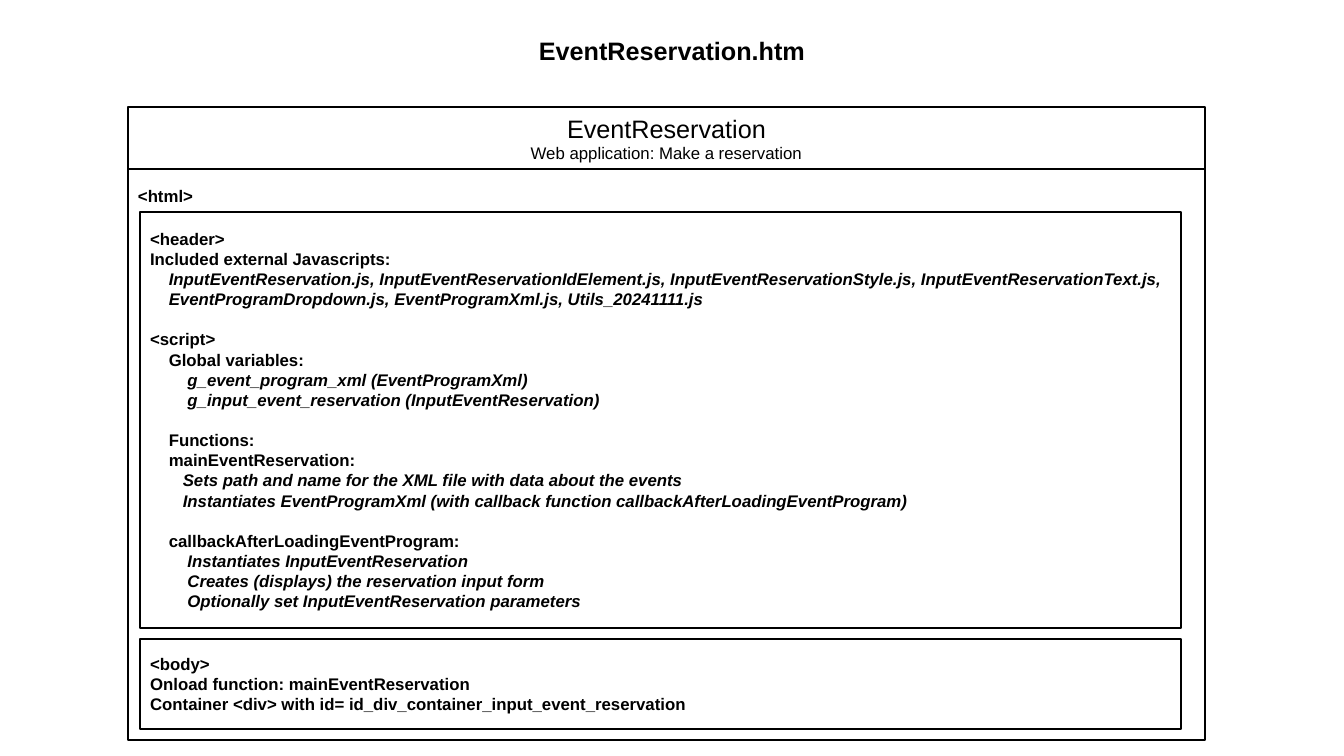
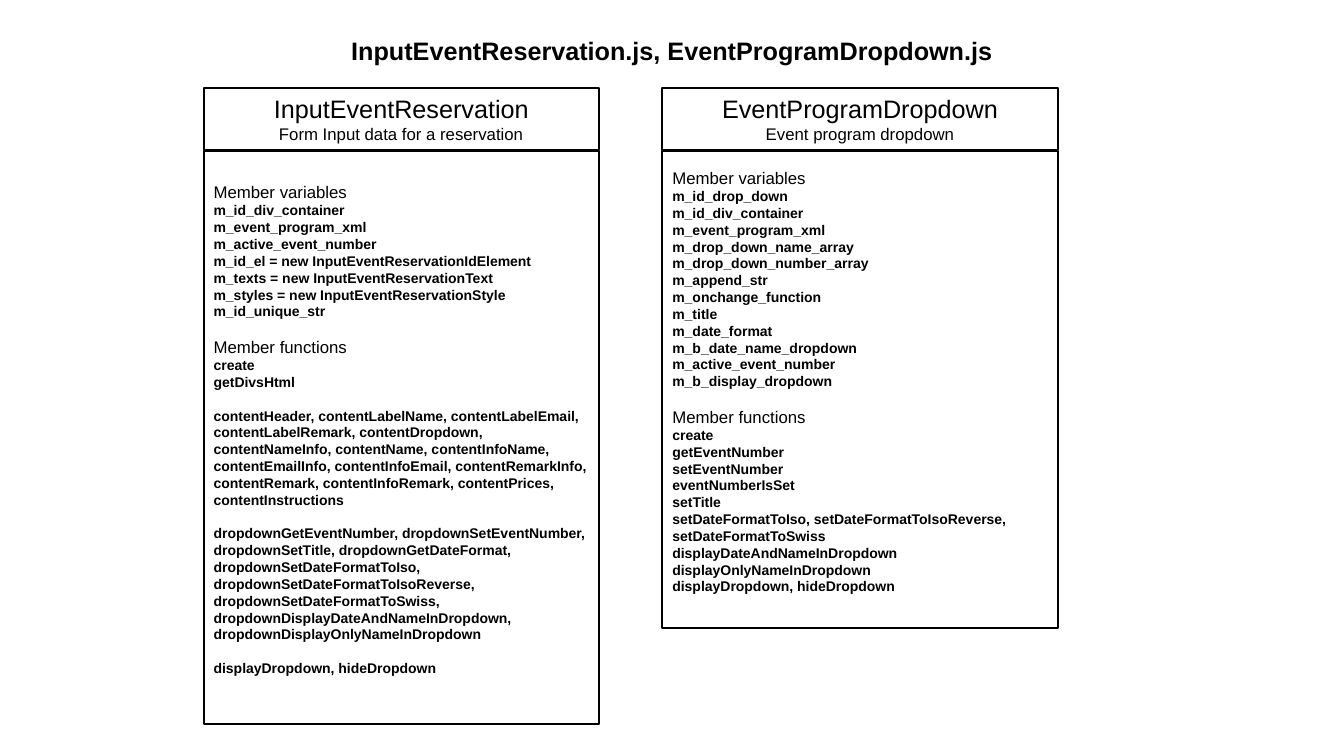
from pptx import Presentation
from pptx.dml.color import RGBColor
from pptx.enum.shapes import MSO_SHAPE
from pptx.enum.text import MSO_ANCHOR, PP_ALIGN
from pptx.util import Inches, Pt

COLORS = {"ink": "000000", "background": "FFFFFF"}
FONT = "Arial"
LINE_HEIGHT = 1.2
SLIDE_WIDTH, SLIDE_HEIGHT = 13.33, 7.5
HEADER_HEIGHT = 0.62
INSET = 0.05

STYLES = {
    "title": {"size": 18, "bold": True, "italic": False},
    "name": {"size": 18, "bold": False, "italic": False},
    "heading": {"size": 12, "bold": False, "italic": False},
    "code": {"size": 12, "bold": True, "italic": False},
    "detail": {"size": 12, "bold": True, "italic": True},
    "member": {"size": 10, "bold": True, "italic": False},
}

PAGE = {
    "title": "EventReservation.htm",
    "name": "EventReservation",
    "purpose": "Web application: Make a reservation",
    "root": "<html>",
    "sections": [
        (4.13, [
            [
                ("code", 0, "<header>"),
                ("code", 0, "Included external Javascripts:"),
                ("detail", 4, "InputEventReservation.js, InputEventReservationIdElement.js, "
                              "InputEventReservationStyle.js, InputEventReservationText.js, "
                              "EventProgramDropdown.js, EventProgramXml.js, Utils_20241111.js"),
            ],
            [
                ("code", 0, "<script>"),
                ("code", 4, "Global variables:"),
                ("detail", 8, "g_event_program_xml (EventProgramXml)"),
                ("detail", 8, "g_input_event_reservation (InputEventReservation)"),
            ],
            [
                ("code", 4, "Functions:"),
                ("code", 4, "mainEventReservation:"),
                ("detail", 7, "Sets path and name for the XML file with data about the events"),
                ("detail", 7, "Instantiates EventProgramXml (with callback function "
                              "callbackAfterLoadingEventProgram)"),
            ],
            [
                ("code", 4, "callbackAfterLoadingEventProgram:"),
                ("detail", 8, "Instantiates InputEventReservation"),
                ("detail", 8, "Creates (displays) the reservation input form"),
                ("detail", 8, "Optionally set InputEventReservation parameters"),
            ],
        ]),
        (0.89, [
            [
                ("code", 0, "<body>"),
                ("code", 0, "Onload function: mainEventReservation"),
                ("code", 0, "Container <div> with id= id_div_container_input_event_reservation"),
            ],
        ]),
    ],
}

CLASSES_TITLE = "InputEventReservation.js, EventProgramDropdown.js"
CLASSES = [
    {
        "name": "InputEventReservation",
        "purpose": "Form Input data for a reservation",
        "height": 5.68,
        "variables": [
            "m_id_div_container",
            "m_event_program_xml",
            "m_active_event_number",
            "m_id_el = new InputEventReservationIdElement",
            "m_texts = new InputEventReservationText",
            "m_styles = new InputEventReservationStyle",
            "m_id_unique_str",
        ],
        "functions": [
            ["create", "getDivsHtml"],
            ["contentHeader, contentLabelName, contentLabelEmail, contentLabelRemark, "
             "contentDropdown, contentNameInfo, contentName, contentInfoName, "
             "contentEmailInfo, contentInfoEmail, contentRemarkInfo, contentRemark, "
             "contentInfoRemark, contentPrices, contentInstructions"],
            ["dropdownGetEventNumber, dropdownSetEventNumber, dropdownSetTitle, "
             "dropdownGetDateFormat, dropdownSetDateFormatToIso, "
             "dropdownSetDateFormatToIsoReverse, dropdownSetDateFormatToSwiss, "
             "dropdownDisplayDateAndNameInDropdown, dropdownDisplayOnlyNameInDropdown"],
            ["displayDropdown, hideDropdown"],
        ],
    },
    {
        "name": "EventProgramDropdown",
        "purpose": "Event program dropdown",
        "height": 4.73,
        "variables": [
            "m_id_drop_down",
            "m_id_div_container",
            "m_event_program_xml",
            "m_drop_down_name_array",
            "m_drop_down_number_array",
            "m_append_str",
            "m_onchange_function",
            "m_title",
            "m_date_format",
            "m_b_date_name_dropdown",
            "m_active_event_number",
            "m_b_display_dropdown",
        ],
        "functions": [
            [
                "create",
                "getEventNumber",
                "setEventNumber",
                "eventNumberIsSet",
                "setTitle",
                "setDateFormatToIso, setDateFormatToIsoReverse, setDateFormatToSwiss",
                "displayDateAndNameInDropdown",
                "displayOnlyNameInDropdown",
                "displayDropdown, hideDropdown",
            ],
        ],
    },
]


def color(name):
    return RGBColor.from_string(COLORS[name])


def write_groups(text_frame, groups, align=PP_ALIGN.LEFT, gap_size=12):
    text_frame.word_wrap = True
    paragraph = text_frame.paragraphs[0]
    for group_index, group in enumerate(groups):
        for line_index, (style_name, indent, text) in enumerate(group):
            if group_index or line_index:
                paragraph = text_frame.add_paragraph()
            style = STYLES[style_name]
            paragraph.text = text
            paragraph.alignment = align
            if group_index and not line_index:
                paragraph.space_before = Pt(gap_size * LINE_HEIGHT)
            if indent:
                space_width = style["size"] * 0.278
                properties = paragraph._p.get_or_add_pPr()
                properties.set("marL", str(Pt(indent * space_width)))
                properties.set("indent", "0")
            font = paragraph.runs[0].font
            font.name = FONT
            font.size = Pt(style["size"])
            font.bold = style["bold"]
            font.italic = style["italic"]
            font.color.rgb = color("ink")


def add_titled_slide(presentation, title):
    slide = presentation.slides.add_slide(presentation.slide_layouts[6])
    box = slide.shapes.add_textbox(0, Inches(0.3), Inches(SLIDE_WIDTH), Inches(0.4))
    write_groups(box.text_frame, [[("title", 0, title)]], PP_ALIGN.CENTER)
    return slide


def add_panel(slide, left, top, width, height, groups, align=PP_ALIGN.LEFT, gap_size=12):
    panel = slide.shapes.add_shape(
        MSO_SHAPE.RECTANGLE, Inches(left), Inches(top), Inches(width), Inches(height))
    panel.shadow.inherit = False
    panel.fill.background()
    panel.line.color.rgb = color("ink")
    panel.line.width = Pt(1.5)
    panel.text_frame.vertical_anchor = MSO_ANCHOR.MIDDLE
    write_groups(panel.text_frame, groups, align, gap_size)
    return panel


def add_header(slide, left, top, width, content):
    lines = [("name", 0, content["name"]), ("heading", 0, content["purpose"])]
    add_panel(slide, left, top, width, HEADER_HEIGHT, [lines], PP_ALIGN.CENTER)
    return top + HEADER_HEIGHT


def build_page_slide(presentation):
    slide = add_titled_slide(presentation, PAGE["title"])
    left, width, margin = 1.27, 10.68, 0.12
    top = add_header(slide, left, 1.06, width, PAGE)
    root = add_panel(slide, left, top, width, 5.66, [[("code", 0, PAGE["root"])]])
    root.text_frame.vertical_anchor = MSO_ANCHOR.TOP
    root.text_frame.margin_top = Inches(0.16)
    section_top = top + 0.42
    for height, groups in PAGE["sections"]:
        add_panel(slide, left + margin, section_top, width - 3 * margin, height, groups)
        section_top += height + 0.11


def build_classes_slide(presentation):
    slide = add_titled_slide(presentation, CLASSES_TITLE)
    left, width, pitch = 2.02, 3.92, 4.55
    for column, content in enumerate(CLASSES):
        column_left = left + column * pitch
        top = add_header(slide, column_left, 0.87, width, content)
        variables, *functions = [
            [("member", 0, text) for text in group]
            for group in [content["variables"], *content["functions"]]]
        variables.insert(0, ("heading", 0, "Member variables"))
        functions[0].insert(0, ("heading", 0, "Member functions"))
        panel = add_panel(slide, column_left, top + 0.01, width, content["height"],
                          [variables, *functions], gap_size=10)
        panel.text_frame.margin_bottom = Inches(INSET) + Pt(10 * LINE_HEIGHT)


def main():
    presentation = Presentation()
    presentation.slide_width = Inches(SLIDE_WIDTH)
    presentation.slide_height = Inches(SLIDE_HEIGHT)
    background = presentation.slide_master.background.fill
    background.solid()
    background.fore_color.rgb = color("background")
    build_page_slide(presentation)
    build_classes_slide(presentation)
    presentation.save("out.pptx")


if __name__ == "__main__":
    main()
